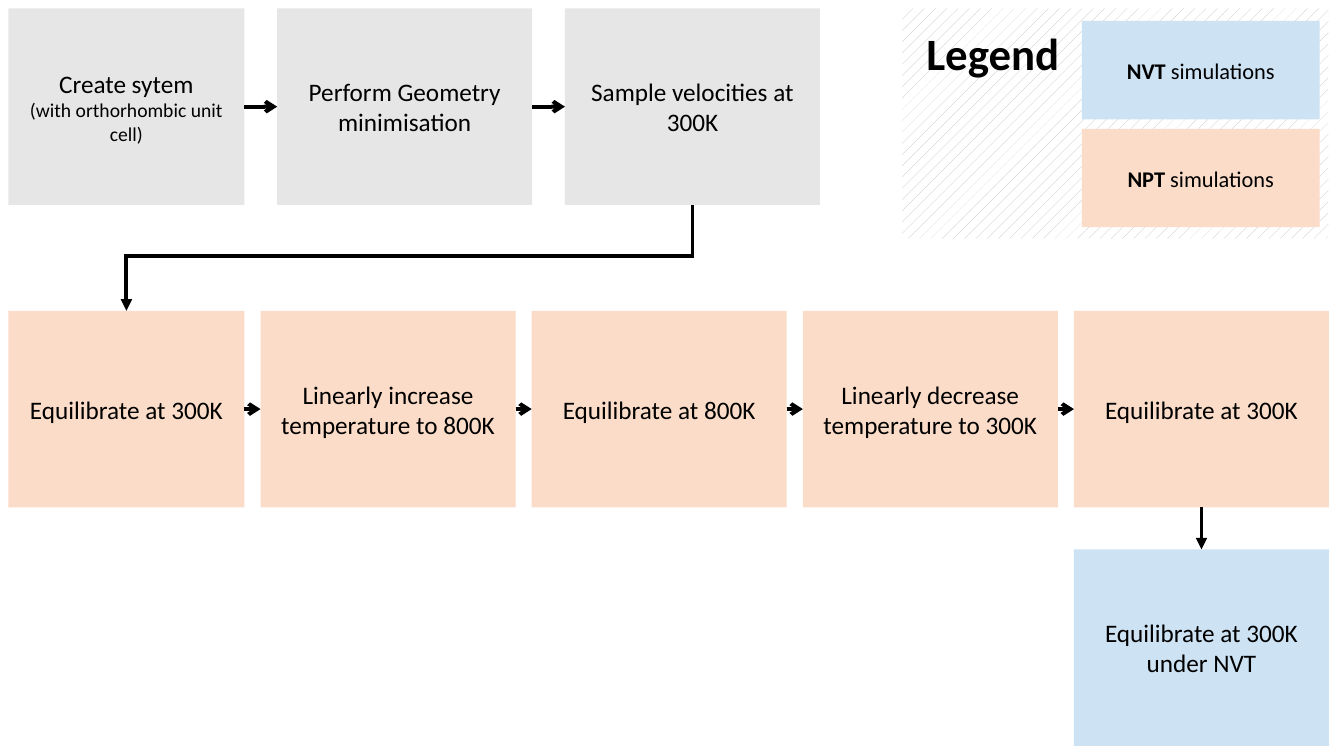
import itertools

import lxml.etree
import pptx
import pptx.dml.color
import pptx.enum.dml
import pptx.enum.shapes
import pptx.enum.text
import pptx.oxml.ns
import pptx.util

# Grid of square cells, 12 to the inch; every length below is in cells
COLUMNS, ROWS = 160, 90
CELL = pptx.util.Inches(1) // 12
GREY, ORANGE, BLUE, BLACK = "E7E6E6", "FBDCC8", "CDE2F3", "000000"
TOP, LEFT, BOTTOM, RIGHT = range(4)  # connection sites of a rectangle


def cells(*lengths):
    return [pptx.util.Emu(round(length * CELL)) for length in lengths]


def colour(hex_string):
    return pptx.dml.color.RGBColor.from_string(hex_string)


class Chart:
    """The flow chart's style and the slide it is drawn on."""

    font = "Calibri"
    line_width = pptx.util.Pt(2.75)
    box_height = 23.4
    first_width, box_width = 28.1, 30.36

    def __init__(self, slide):
        self.slide = slide

    def put_text(self, frame, paragraphs):
        """Each paragraph is a size and its runs; a run is text and bold."""
        frame.word_wrap = True
        for index, (size, *runs) in enumerate(paragraphs):
            paragraph = frame.add_paragraph() if index else frame.paragraphs[0]
            paragraph.alignment = pptx.enum.text.PP_ALIGN.CENTER
            paragraph.font.name = self.font
            paragraph.font.size = pptx.util.Pt(size)
            paragraph.font.color.rgb = colour(BLACK)
            for words, bold in runs:
                run = paragraph.add_run()
                run.text = words
                run.font.bold = bold

    def panel(self, left, top, width, height):
        shape = self.slide.shapes.add_shape(
            pptx.enum.shapes.MSO_SHAPE.RECTANGLE, *cells(left, top, width, height))
        shape.shadow.inherit = False
        shape.line.fill.background()
        return shape

    def box(self, left, top, width, height, fill, paragraphs):
        shape = self.panel(left, top, width, height)
        shape.fill.solid()
        shape.fill.fore_color.rgb = colour(fill)
        shape.text_frame.vertical_anchor = pptx.enum.text.MSO_ANCHOR.MIDDLE
        self.put_text(shape.text_frame, paragraphs)
        return shape

    def hatched_panel(self, left, top, width, height):
        fill = self.panel(left, top, width, height).fill
        fill.patterned()
        fill.pattern = pptx.enum.dml.MSO_PATTERN.PERCENT_10
        fill.fore_color.rgb = colour("BFBFBF")
        fill.back_color.rgb = colour("FFFFFF")

    def heading(self, left, top, width, height, words):
        frame = self.slide.shapes.add_textbox(*cells(left, top, width, height)).text_frame
        self.put_text(frame, [(32, (words, True))])
        frame.auto_size = pptx.enum.text.MSO_AUTO_SIZE.SHAPE_TO_FIT_TEXT

    def line(self, start=(0, 0), end=(0, 0), head=None):
        connector = self.slide.shapes.add_connector(
            pptx.enum.shapes.MSO_CONNECTOR.STRAIGHT, *cells(*start, *end))
        connector.line.width = self.line_width
        connector.line.color.rgb = colour(BLACK)
        properties = connector._element.spPr
        if head:
            outline = properties.find(pptx.oxml.ns.qn("a:ln"))
            lxml.etree.SubElement(outline, pptx.oxml.ns.qn("a:tailEnd"), type=head)
        lxml.etree.SubElement(properties, pptx.oxml.ns.qn("a:effectLst"))
        return connector

    def link(self, source, source_site, target, target_site, head):
        connector = self.line(head=head)
        connector.begin_connect(source, source_site)
        connector.end_connect(target, target_site)

    def flow(self, top, gap, fill, steps):
        """A row of boxes from the left margin, joined by arrows."""
        boxes, left = [], 1
        for paragraphs in steps:
            width = self.box_width if boxes else self.first_width
            boxes.append(self.box(left, top, width, self.box_height, fill, paragraphs))
            left += width + gap
        for source, target in itertools.pairwise(boxes):
            self.link(source, RIGHT, target, LEFT, "arrow")
        return boxes


def step(words):
    return [(18, (words, False))]


deck = pptx.Presentation()
deck.slide_width, deck.slide_height = cells(COLUMNS, ROWS)
chart = Chart(deck.slides.add_slide(deck.slide_layouts[6]))
first_row, second_row, third_row = 1, 37, 65.4

# Legend
chart.hatched_panel(107.4, first_row, 50.76, 27.4)
chart.heading(107.4, 2.5, 21.6, 7.7, "Legend")
for row, (ensemble, fill) in enumerate([("NVT ", BLUE), ("NPT ", ORANGE)]):
    chart.box(128.8, 2.5 + 12.85 * row, 28.3, 11.7, fill,
              [(16, (ensemble, True), ("simulations", False))])

# Preparation
preparation = chart.flow(first_row, 3.9, GREY, [
    step("Create sytem") + [(14, ("(with orthorhombic unit cell)", False))],
    step("Perform Geometry minimisation"),
    step("Sample velocities at 300K"),
])

# Heating and cooling
annealing = chart.flow(second_row, 1.92, ORANGE, [step(words) for words in (
    "Equilibrate at 300K",
    "Linearly increase temperature to 800K",
    "Equilibrate at 800K",
    "Linearly decrease temperature to 300K",
    "Equilibrate at 300K",
)])

# Final equilibration under the last annealing step
final = chart.box(annealing[-1].left / CELL, third_row, chart.box_width,
                  chart.box_height, BLUE, step("Equilibrate at 300K under NVT"))
chart.link(annealing[-1], BOTTOM, final, TOP, "triangle")

# Return path from the first row to the second
sampling_x, equilibration_x = (
    (box.left + box.width / 2) / CELL for box in (preparation[-1], annealing[0]))
turn, overlap = 30.5, 0.23
chart.line((sampling_x, first_row + chart.box_height), (sampling_x, turn))
chart.line((equilibration_x - overlap, turn), (sampling_x + overlap, turn))
chart.line((equilibration_x, turn), (equilibration_x, second_row), "triangle")

deck.save("out.pptx")
